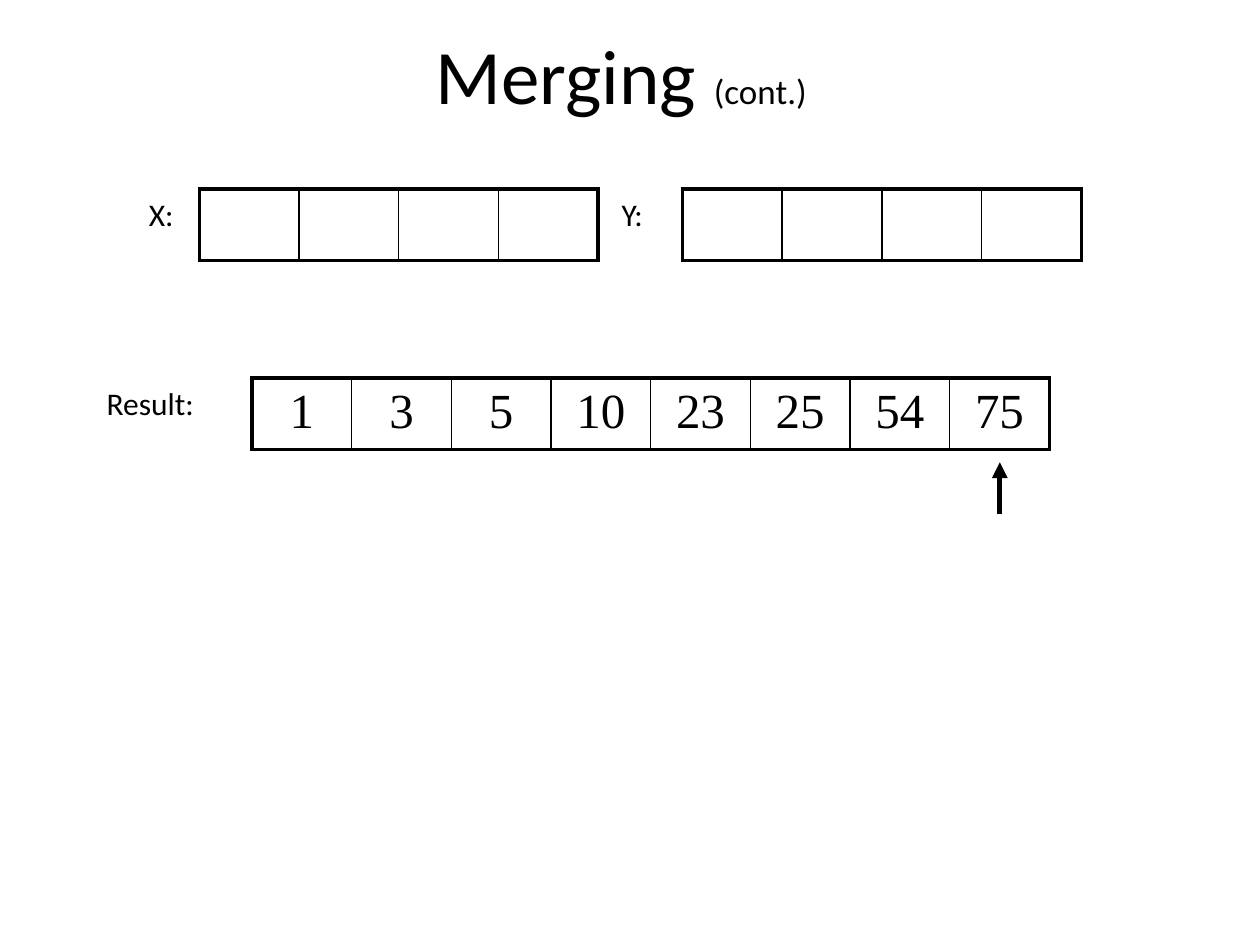
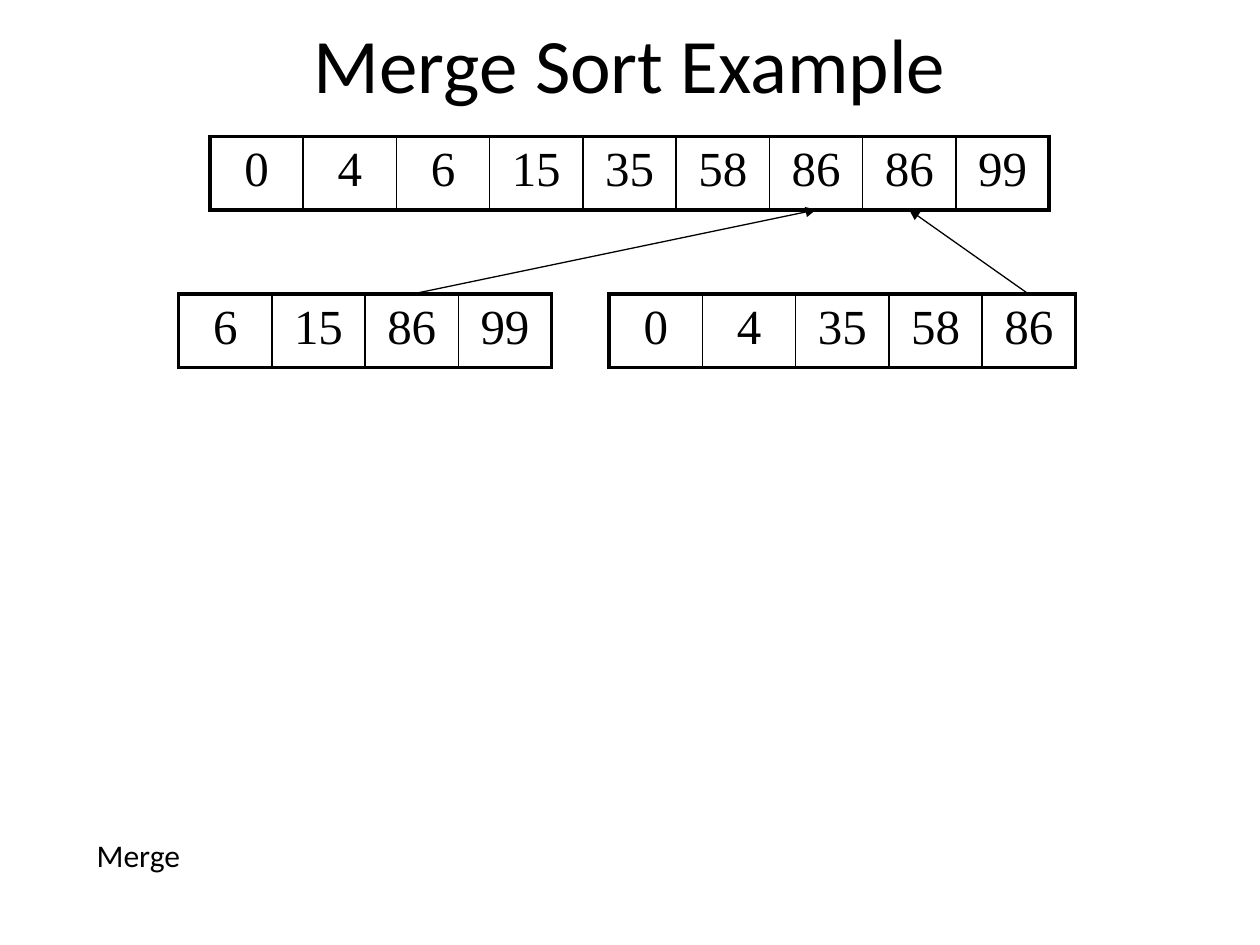
from lxml.etree import SubElement
from pptx import Presentation
from pptx.dml.color import RGBColor
from pptx.enum.shapes import MSO_CONNECTOR
from pptx.enum.text import MSO_ANCHOR, PP_ALIGN
from pptx.oxml.ns import qn
from pptx.util import Cm, Pt

INK = RGBColor(0, 0, 0)
SANS = "Calibri"
SERIF = "Times New Roman"
THICK, THIN = 2.25, 1
HEAD = 44


def style(font, name, size):
    font.name = name
    font.size = Pt(size)
    font.color.rgb = INK


def add_text(slide, box, text):
    frame = slide.shapes.add_textbox(*map(Cm, box)).text_frame
    frame.word_wrap = True
    para = frame.paragraphs[0]
    para.text = text
    return frame, para


def add_label(slide, box, text):
    para = add_text(slide, box, text)[1]
    style(para.font, SANS, 18)


def add_title(slide, box, text, note=""):
    """Centred heading, with an optional smaller note after it."""
    frame, para = add_text(slide, box, text)
    frame.vertical_anchor = MSO_ANCHOR.MIDDLE
    para.alignment = PP_ALIGN.CENTER
    style(para.font, SANS, HEAD)
    if note:
        run = para.add_run()
        run.text = note
        run.font.size = Pt(20)
        para.add_run().text = " "


def add_edge(cell, side, width):
    line = SubElement(cell._tc.get_or_add_tcPr(), qn(f"a:ln{side}"), w=str(Pt(width)))
    fill = SubElement(line, qn("a:solidFill"))
    SubElement(fill, qn("a:srgbClr"), val=str(INK))


def add_array(slide, left, top, wide, high, values):
    """One-row table; returns a function giving the centre of a cell in cm."""
    count = len(values)
    box = map(Cm, (left, top, wide * count, high))
    table = slide.shapes.add_table(1, count, *box).table
    table.first_row = table.horz_banding = False
    for i, value in enumerate(values):
        table.columns[i].width = Cm(wide)
        cell = table.cell(0, i)
        add_edge(cell, "L", THIN if i else THICK)
        add_edge(cell, "R", THIN if i < count - 1 else THICK)
        add_edge(cell, "T", THICK)
        add_edge(cell, "B", THICK)
        cell.fill.background()
        para = cell.text_frame.paragraphs[0]
        para.text = str(value)
        para.alignment = PP_ALIGN.CENTER
        style(para.font, SERIF, 28)
    return lambda i: left + (i + 0.5) * wide


def add_arrow(slide, start, end, width):
    ends = map(Cm, (*start, *end))
    arrow = slide.shapes.add_connector(MSO_CONNECTOR.STRAIGHT, *ends)
    arrow.line.color.rgb = INK
    arrow.line.width = Pt(width)
    SubElement(arrow.line._get_or_add_ln(), qn("a:tailEnd"), type="triangle")
    SubElement(arrow._element.spPr, qn("a:effectLst"))


def draw_merging(slide):
    add_title(slide, (1.9, 0.42, 21.6, 2.12), "Merging ", "(cont.)")
    wide, top, low = 2.01, 3.81, 7.62
    for left in (4.02, 13.76):
        add_array(slide, left, top, wide, 1.36, [""] * 4)
    centre = add_array(slide, 5.08, low, wide, 1.42, (1, 3, 5, 10, 23, 25, 54, 75))
    add_arrow(slide, (centre(7), low + 2.75), (centre(7), low + 1.7), 3)
    for left, y, span, text in (
        (2.75, top, 1.48, "X:"),
        (12.28, top, 1.48, "Y:"),
        (1.9, low, 2.96, "Result:"),
    ):
        add_label(slide, (left, y, span, 1.27), text)


def draw_sort(slide):
    add_title(slide, (1.9, 0, 21.6, 2.54), "Merge Sort Example")
    wide, high, top, low = 1.88, 1.48, 2.75, 5.93
    whole = add_array(slide, 4.23, top, wide, high, (0, 4, 6, 15, 35, 58, 86, 86, 99))
    first = add_array(slide, 3.6, low, wide, high, (6, 15, 86, 99))
    second = add_array(slide, 12.28, low, wide, high, (0, 4, 35, 58, 86))
    add_label(slide, (1.7, 16.72, 12.9, 1.27), "Merge")
    for start, end in ((first(2), whole(6)), (second(4), whole(7))):
        add_arrow(slide, (start, low), (end, top + high), 0.75)


def main():
    deck = Presentation()
    deck.slide_width, deck.slide_height = Cm(25.4), Cm(19.05)
    for draw in (draw_merging, draw_sort):
        draw(deck.slides.add_slide(deck.slide_layouts[6]))
    deck.save("out.pptx")


if __name__ == "__main__":
    main()
